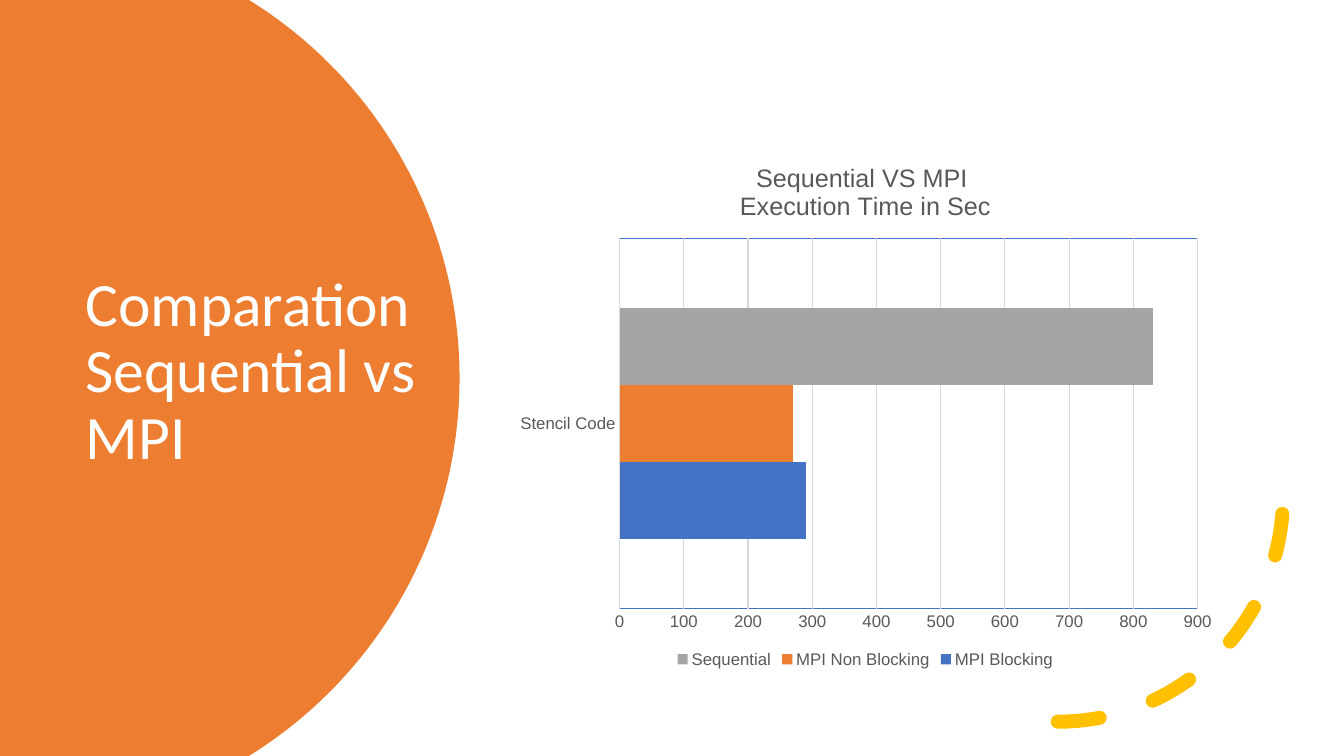
import math
from dataclasses import dataclass

import pptx
import pptx.chart.data
import pptx.dml.color
import pptx.enum.chart
import pptx.enum.shapes
import pptx.enum.text
import pptx.oxml
import pptx.oxml.ns
import pptx.util
from pptx.util import Pt


@dataclass(frozen=True)
class Theme:
    title_font: str = "Calibri"
    chart_font: str = "Arial"
    title_size: int = 44
    chart_title_size: int = 18
    label_size: int = 12
    white: str = "FFFFFF"
    orange: str = "ED7D31"
    blue: str = "4472C4"
    gray: str = "A5A5A5"
    yellow: str = "FFC000"
    text: str = "595959"
    grid: str = "D9D9D9"


THEME = Theme()
PAGE_WIDTH, PAGE_HEIGHT = 960, 540
TIMES = [
    ("MPI Blocking", 290, THEME.blue),
    ("MPI Non Blocking", 270, THEME.orange),
    ("Sequential", 830, THEME.gray),
]


def rgb(color):
    return pptx.dml.color.RGBColor.from_string(color)


def style_font(font, name, size, color):
    font.name = name
    font.size = Pt(size)
    font.bold = False
    font.color.rgb = rgb(color)


def style_line(line, color, width):
    line.color.rgb = rgb(color)
    line.width = Pt(width)


def xml(tag, content):
    """Return a chart element holding the given markup."""
    namespaces = pptx.oxml.ns.nsdecls("c", "a")
    return pptx.oxml.parse_xml(f"<{tag} {namespaces}>{content}</{tag}>")


def add_title(page, text, left, top, width, height):
    title = page.shapes.title
    title.left, title.top, title.width, title.height = map(Pt, (left, top, width, height))
    frame = title.text_frame
    frame.text = text
    frame.word_wrap = True
    frame.auto_size = pptx.enum.text.MSO_AUTO_SIZE.NONE
    frame.vertical_anchor = pptx.enum.text.MSO_ANCHOR.MIDDLE
    para = frame.paragraphs[0]
    para.alignment = pptx.enum.text.PP_ALIGN.LEFT
    para.line_spacing = 0.9
    style_font(para.runs[0].font, THEME.title_font, THEME.title_size, THEME.white)
    return title


def add_round_panel(page, center_x, radius, steps=80):
    """Fill the page from its left edge to a circle cut off at top and bottom."""
    middle = PAGE_HEIGHT / 2
    limit = math.asin(middle / radius)
    angles = [limit * (2 * step / steps - 1) for step in range(steps + 1)]
    rim = [(Pt(center_x + radius * math.cos(angle)), Pt(middle + radius * math.sin(angle)))
           for angle in angles]
    builder = page.shapes.build_freeform(0, 0, scale=1.0)
    builder.add_line_segments(rim + [(0, Pt(PAGE_HEIGHT))], close=True)
    panel = builder.convert_to_shape()
    panel.shadow.inherit = False
    panel.fill.solid()
    panel.fill.fore_color.rgb = rgb(THEME.orange)
    panel.line.fill.background()
    return panel


def add_dashed_arc(page, left, top, size):
    """Draw a quarter circle whose dashes start at the bottom and end at the right."""
    arc = page.shapes.add_shape(pptx.enum.shapes.MSO_SHAPE.ARC,
                                Pt(left), Pt(top), Pt(size), Pt(size))
    arc.shadow.inherit = False
    arc.adjustments[0] = 162
    arc.adjustments[1] = 0
    arc.rotation = 180
    arc.element.spPr.xfrm.set("flipH", "1")
    arc.fill.background()
    style_line(arc.line, THEME.yellow, 10)
    arc.line.dash_style = pptx.enum.dml.MSO_LINE.DASH
    arc.line.fill
    arc.element.spPr.find(pptx.oxml.ns.qn("a:ln")).set("cap", "rnd")


def style_axis(axis):
    axis.major_tick_mark = axis.minor_tick_mark = pptx.enum.chart.XL_TICK_MARK.NONE
    style_font(axis.tick_labels.font, THEME.chart_font, THEME.label_size, THEME.text)


def style_chart_title(chart, lines):
    frame = chart.chart_title.text_frame
    frame.text = "\n".join(lines)
    for para in frame.paragraphs:
        style_font(para.runs[0].font, THEME.chart_font, THEME.chart_title_size, THEME.text)
    chart.chart_title.include_in_layout = False


def style_plot_area(chart, left, top, width, height):
    """Place the plot by fractions of the chart and give it a border."""
    area = chart.plots[0]._element.getparent()
    for layout in area.findall(pptx.oxml.ns.qn("c:layout")):
        area.remove(layout)
    places = "".join(f'<c:{key} val="{value}"/>' for key, value in
                     zip("xywh", (left, top, width, height)))
    area.insert(0, xml("c:layout", '<c:manualLayout><c:layoutTarget val="inner"/>'
                       '<c:xMode val="edge"/><c:yMode val="edge"/>'
                       f"{places}</c:manualLayout>"))
    area.append(xml("c:spPr", '<a:noFill/><a:ln w="9525"><a:solidFill>'
                    f'<a:srgbClr val="{THEME.blue}"/></a:solidFill></a:ln>'))


def add_time_chart(page, left, top, width, height):
    data = pptx.chart.data.CategoryChartData()
    data.categories = ["Stencil Code"]
    for name, seconds, _ in TIMES:
        data.add_series(name, [seconds])
    chart = page.shapes.add_chart(pptx.enum.chart.XL_CHART_TYPE.BAR_CLUSTERED,
                                  Pt(left), Pt(top), Pt(width), Pt(height), data).chart
    style_font(chart.font, THEME.chart_font, THEME.label_size, THEME.text)
    style_chart_title(chart, ["Sequential VS MPI ", "Execution Time in Sec"])

    plot = chart.plots[0]
    plot.gap_width = 182
    plot.vary_by_categories = False
    for series, (_, _, color) in zip(plot.series, TIMES):
        series.format.fill.solid()
        series.format.fill.fore_color.rgb = rgb(color)

    style_axis(chart.category_axis)
    style_line(chart.category_axis.format.line, THEME.grid, 0.75)
    values = chart.value_axis
    style_axis(values)
    values.minimum_scale, values.maximum_scale, values.major_unit = 0, 900, 100
    values.format.line.fill.background()
    values.has_major_gridlines = True
    style_line(values.major_gridlines.format.line, THEME.grid, 0.75)

    chart.has_legend = True
    chart.legend.position = pptx.enum.chart.XL_LEGEND_POSITION.BOTTOM
    chart.legend.include_in_layout = False
    style_font(chart.legend.font, THEME.chart_font, THEME.label_size, THEME.text)
    style_plot_area(chart, 0.16, 0.18, 0.8, 0.7)


def main():
    deck = pptx.Presentation()
    deck.slide_width, deck.slide_height = Pt(PAGE_WIDTH), Pt(PAGE_HEIGHT)
    page = deck.slides.add_slide(deck.slide_layouts[5])
    title = add_title(page, "Comparation Sequential vs MPI", 54, 90.7, 252, 351.4)
    panel = add_round_panel(page, center_x=10.8, radius=317.5)
    title.element.addprevious(panel.element)
    add_dashed_arc(page, 594.7, 193.7, 321.8)
    add_time_chart(page, 360, 102.2, 516.2, 378)
    deck.save("out.pptx")


if __name__ == "__main__":
    main()
